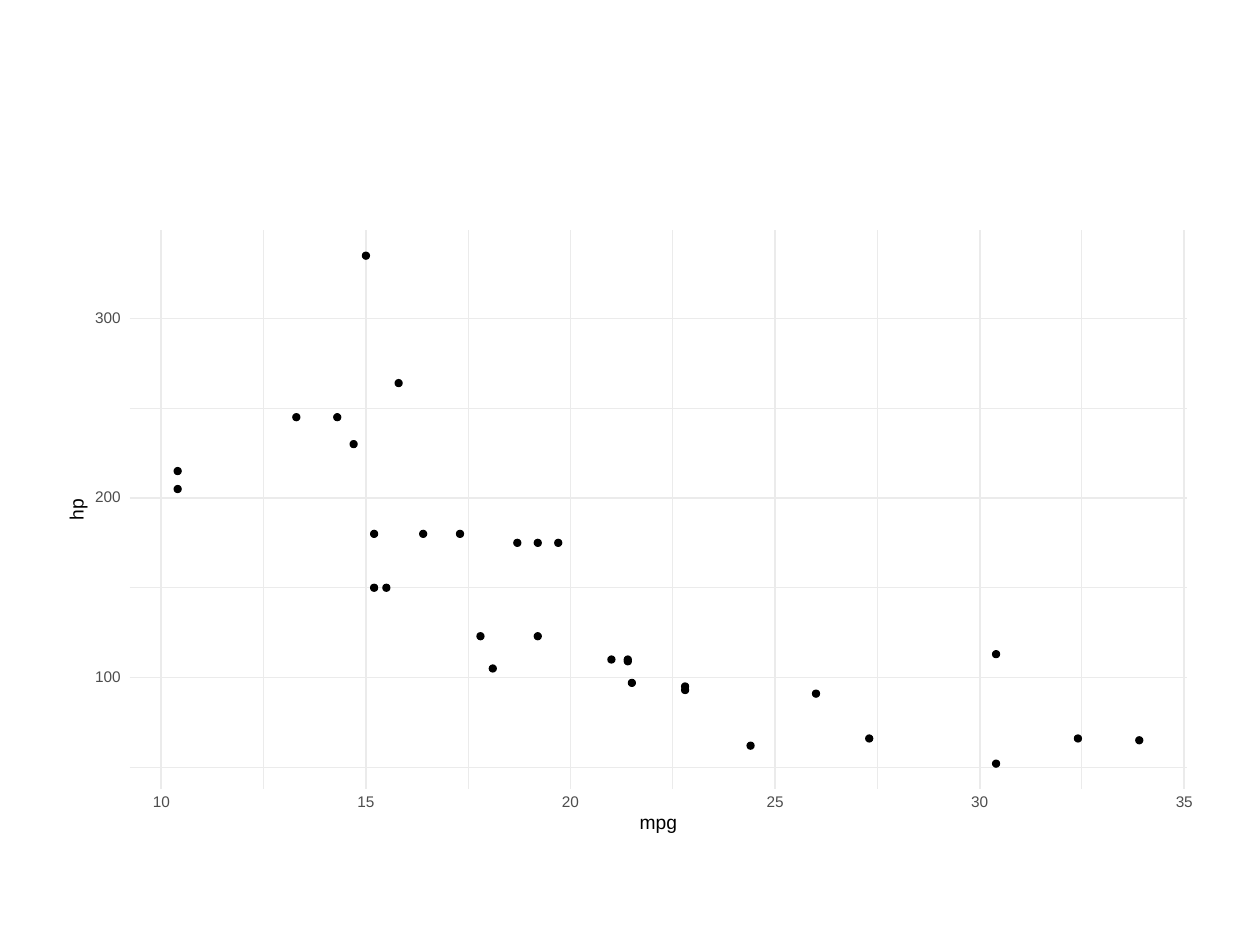
from lxml.etree import SubElement
from pptx import Presentation
from pptx.dml.color import RGBColor
from pptx.enum.shapes import MSO_CONNECTOR, MSO_SHAPE
from pptx.enum.text import MSO_ANCHOR, PP_ALIGN
from pptx.oxml.ns import qn
from pptx.util import Pt

PX = 914400 / 126

CARS = [
    (21, 110), (22.8, 93), (21.4, 110), (18.7, 175), (18.1, 105), (14.3, 245),
    (24.4, 62), (22.8, 95), (19.2, 123), (17.8, 123), (16.4, 180), (17.3, 180),
    (15.2, 180), (10.4, 205), (10.4, 215), (14.7, 230), (32.4, 66), (30.4, 52),
    (33.9, 65), (21.5, 97), (15.5, 150), (15.2, 150), (13.3, 245), (19.2, 175),
    (27.3, 66), (26, 91), (30.4, 113), (15.8, 264), (19.7, 175), (15, 335),
    (21.4, 109),
]
MPG_TICKS = [10, 15, 20, 25, 30, 35]
HP_TICKS = [100, 200, 300]
MPG_MINOR = [12.5, 17.5, 22.5, 27.5, 32.5]
HP_MINOR = [50, 150, 250]

LEFT, TOP, RIGHT, BOTTOM = 130, 230, 1187, 789
DOT = 7
GRID, TICK_TEXT, BLACK, WHITE = "EBEBEB", "4D4D4D", "000000", "FFFFFF"


def emu(px):
    return round(px * PX)


def color(value):
    return RGBColor.from_string(value)


def x_of(mpg):
    return 161.3 + (mpg - 10) * 1023 / 25


def y_of(hp):
    return 677.5 - (hp - 100) * 359 / 200


def add_mark(plot, kind, x, y, width, height, fill, line_width):
    mark = plot.shapes.add_shape(kind, emu(x), emu(y), emu(width), emu(height))
    mark.shadow.inherit = False
    mark.fill.solid()
    mark.fill.fore_color.rgb = color(fill)
    mark.line.color.rgb = color(fill)
    mark.line.width = Pt(line_width)


def add_grid_line(plot, x1, y1, x2, y2, width):
    grid_line = plot.shapes.add_connector(
        MSO_CONNECTOR.STRAIGHT, emu(x1), emu(y1), emu(x2), emu(y2))
    grid_line.line.color.rgb = color(GRID)
    grid_line.line.width = Pt(width)
    SubElement(grid_line._element.spPr, qn("a:effectLst"))


def add_grid(plot, mpgs, hps, width):
    for hp in hps:
        add_grid_line(plot, LEFT, y_of(hp), RIGHT, y_of(hp), width)
    for mpg in mpgs:
        add_grid_line(plot, x_of(mpg), BOTTOM, x_of(mpg), TOP, width)


def add_text(plot, text, *, center, middle, width, height, size, fill, rotation=0):
    label = plot.shapes.add_textbox(
        emu(center - width / 2), emu(middle - height / 2), emu(width), emu(height))
    label.rotation = rotation
    frame = label.text_frame
    frame.margin_left = frame.margin_top = frame.margin_right = frame.margin_bottom = 0
    frame.word_wrap = False
    frame.vertical_anchor = MSO_ANCHOR.MIDDLE
    paragraph = frame.paragraphs[0]
    paragraph.alignment = PP_ALIGN.CENTER
    paragraph.line_spacing = Pt(size)
    run = paragraph.add_run()
    run.text = text
    run.font.name = "Arial"
    run.font.size = Pt(size)
    run.font.color.rgb = color(fill)


def main():
    deck = Presentation()
    deck.slide_width, deck.slide_height = emu(1260), emu(945)
    slide = deck.slides.add_slide(deck.slide_layouts[6])
    plot = slide.shapes.add_group_shape()

    add_mark(plot, MSO_SHAPE.RECTANGLE, 63, 220, 1134, 624, WHITE, 0.75)
    add_grid(plot, MPG_MINOR, HP_MINOR, 0.53)
    add_grid(plot, MPG_TICKS, HP_TICKS, 1.07)
    for mpg, hp in CARS:
        add_mark(plot, MSO_SHAPE.OVAL, x_of(mpg) - DOT / 2, y_of(hp) - DOT / 2,
                 DOT, DOT, BLACK, 0.71)

    tick_format = {"height": 11, "size": 8.8, "fill": TICK_TEXT}
    title_format = {"size": 11, "fill": BLACK}
    for hp in HP_TICKS:
        add_text(plot, str(hp), center=108, middle=y_of(hp), width=28, **tick_format)
    for mpg in MPG_TICKS:
        add_text(plot, str(mpg), center=x_of(mpg), middle=803, width=20, **tick_format)
    add_text(plot, "mpg", center=(LEFT + RIGHT) / 2, middle=824, width=40, height=14,
             **title_format)
    add_text(plot, "hp", center=78, middle=(TOP + BOTTOM) / 2, width=26, height=18,
             rotation=270, **title_format)

    deck.save("out.pptx")


if __name__ == "__main__":
    main()
